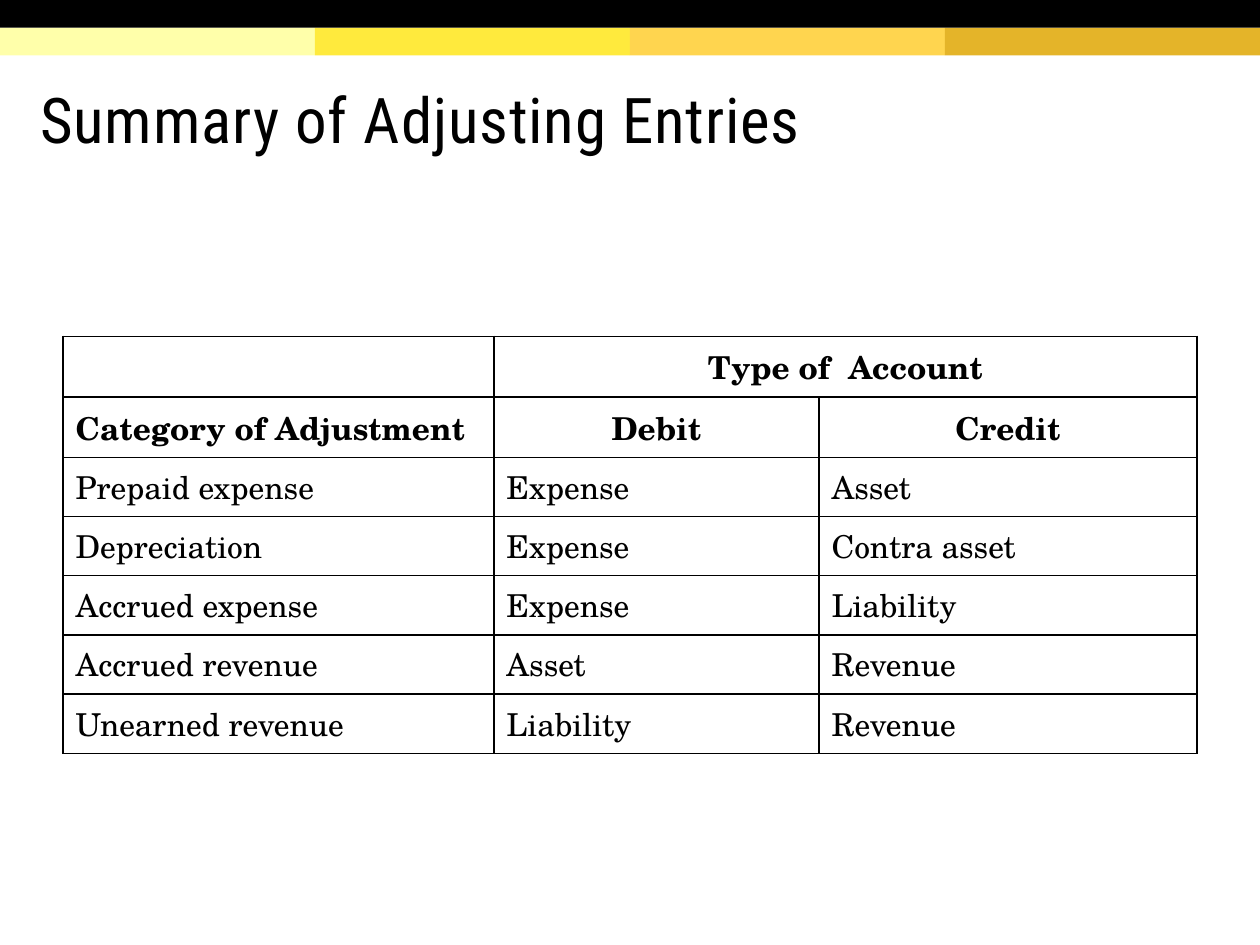
import pptx
import pptx.util
import pptx.dml.color
import pptx.enum.shapes
import pptx.enum.text
import pptx.oxml
import pptx.oxml.ns

Inches = pptx.util.Inches
Pt = pptx.util.Pt
ALIGN = pptx.enum.text.PP_ALIGN

TITLE = "Summary of Adjusting Entries"
BANDS = ["FFFFAA", "FFEA3D", "FFD54F", "E4B429"]
ROWS = [
    ("", "Type of  Account", ""),
    ("Category of Adjustment", "Debit", "Credit"),
    ("Prepaid expense", "Expense", "Asset"),
    ("Depreciation", "Expense", "Contra asset"),
    ("Accrued expense", "Expense", "Liability"),
    ("Accrued revenue", "Asset", "Revenue"),
    ("Unearned revenue", "Liability", "Revenue"),
]
WIDTHS = [3.42, 2.58, 3]
HEADS = 2
TALLS = [0.48 if i < HEADS else 0.47 for i in range(len(ROWS))]
BAR = 0.22
HEAD = {"name": "Roboto Condensed", "size": Pt(36), "bold": False}
BODY = {"name": "TeX Gyre Schola", "size": Pt(18)}
BOX = {
    "word_wrap": True,
    "vertical_anchor": pptx.enum.text.MSO_ANCHOR.MIDDLE,
    "margin_left": Inches(0.1),
    "margin_right": Inches(0.1),
    "margin_top": Inches(0.1),
    "margin_bottom": Inches(0.05),
}


def paint(part, color):
    part.solid()
    part.fore_color.rgb = pptx.dml.color.RGBColor.from_string(color)


def apply(part, form):
    for key, value in form.items():
        setattr(part, key, value)


def style(font, form):
    apply(font, form)
    paint(font.fill, "000000")


def bar(slide, left, top, width, color):
    kind = pptx.enum.shapes.MSO_SHAPE.RECTANGLE
    shape = slide.shapes.add_shape(
        kind, Inches(left), Inches(top), Inches(width), Inches(BAR))
    shape.shadow.inherit = False
    paint(shape.fill, color)
    shape.line.fill.background()


def border(cell):
    props = cell._tc.get_or_add_tcPr()
    space = pptx.oxml.ns.nsdecls("a")
    for spot, side in enumerate("LRTB"):
        line = pptx.oxml.parse_xml(
            f'<a:ln{side} {space} w="12700"><a:solidFill>'
            f'<a:srgbClr val="000000"/></a:solidFill></a:ln{side}>')
        props.insert(spot, line)


def title(slide):
    box = slide.shapes.add_textbox(
        Inches(0.22), Inches(0.47), Inches(9.49), Inches(0.98))
    apply(box.text_frame, BOX)
    para = box.text_frame.paragraphs[0]
    para.line_spacing = 0.85
    run = para.add_run()
    run.text = TITLE
    style(run.font, HEAD)
    run.font._element.set("spc", "50")


def grid(slide):
    frame = slide.shapes.add_table(
        len(ROWS), len(WIDTHS), Inches(0.5), Inches(2.67),
        Inches(sum(WIDTHS)), Inches(sum(TALLS)))
    table = frame.table
    table.first_row = table.horz_banding = False
    for col, width in zip(table.columns, WIDTHS):
        col.width = Inches(width)
    for i, row in enumerate(ROWS):
        table.rows[i].height = Inches(TALLS[i])
        for j, text in enumerate(row):
            cell = table.cell(i, j)
            paint(cell.fill, "FFFFFF")
            border(cell)
            cell.text = text
            para = cell.text_frame.paragraphs[0]
            head = i < HEADS
            para.alignment = ALIGN.CENTER if head and j else ALIGN.LEFT
            fonts = [run.font for run in para.runs] or [para.font]
            for font in fonts:
                style(font, {**BODY, "bold": head})
    table.cell(0, 1).merge(table.cell(0, 2))


def main():
    deck = pptx.Presentation()
    deck.slide_width, deck.slide_height = Inches(10), Inches(7.5)
    slide = deck.slides.add_slide(deck.slide_layouts[6])
    step = 10 / len(BANDS)
    for i, color in enumerate(BANDS):
        bar(slide, i * step, BAR, step, color)
    bar(slide, 0, 0, 10, "000000")
    title(slide)
    grid(slide)
    deck.save("out.pptx")


if __name__ == "__main__":
    main()
